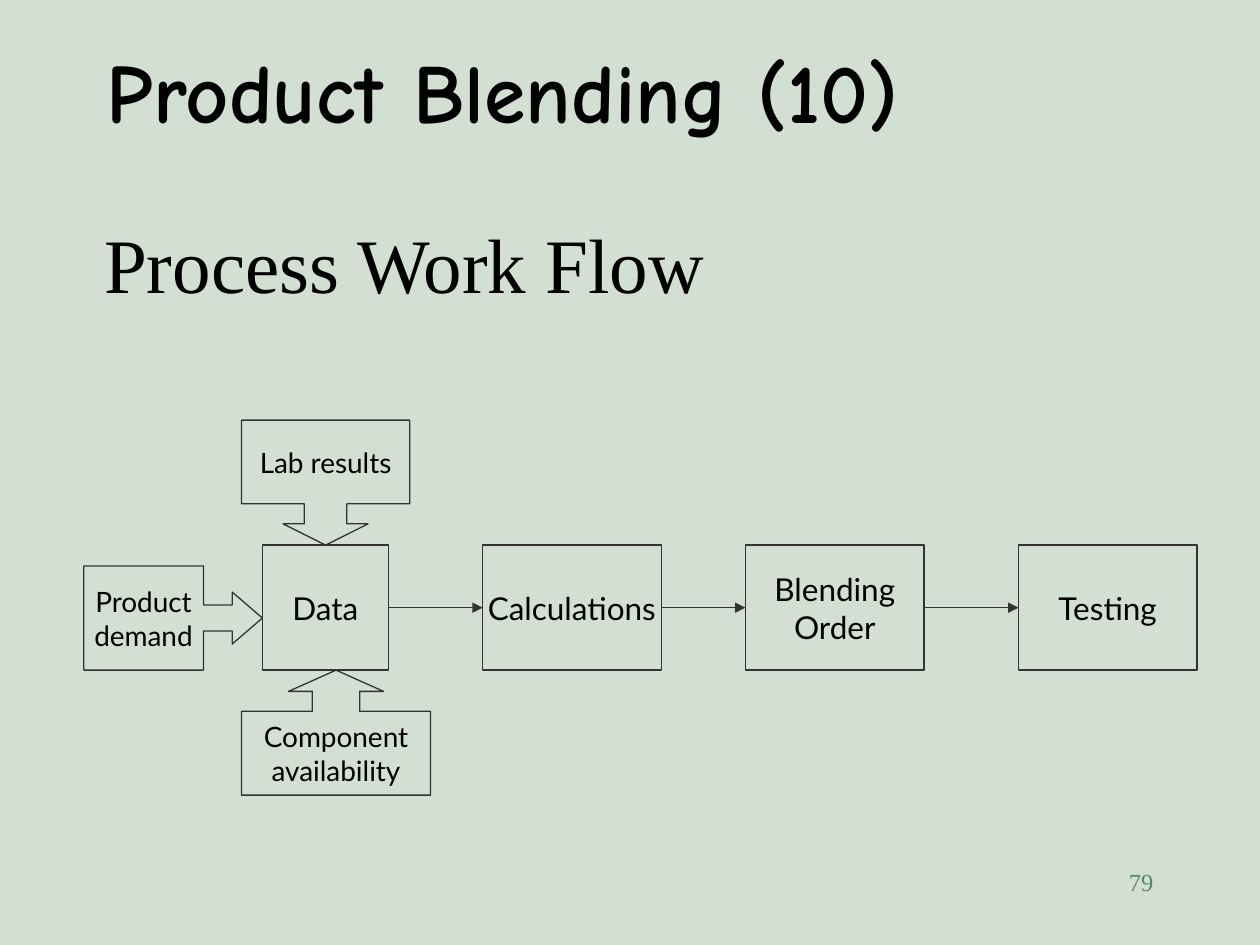
import pptx
import pptx.util
import pptx.dml.color
import pptx.enum.shapes
import pptx.enum.text
import pptx.oxml
import pptx.oxml.ns

Cm = pptx.util.Cm
Pt = pptx.util.Pt
RGB = pptx.dml.color.RGBColor.from_string
KIND = pptx.enum.shapes.MSO_SHAPE
ALIGN = pptx.enum.text.PP_ALIGN
ANCHOR = pptx.enum.text.MSO_ANCHOR
COLORS = {"back": "D3DFD3", "text": "000000", "line": "333333", "page": "578963"}


def write(shape, text, size, font="Lato", color="text", bold=False,
          align=ALIGN.CENTER, anchor=ANCHOR.MIDDLE, wrap=False):
    frame = shape.text_frame
    frame.text = text
    frame.word_wrap = wrap
    frame.vertical_anchor = anchor
    for par in frame.paragraphs:
        par.alignment = align
        par.font.size = Pt(size)
        par.font.name = font
        par.font.bold = bold
        par.font.color.rgb = RGB(COLORS[color])


def draw(kind, left, top, width, height, text, size, adjust=()):
    """Add an outlined, unfilled shape with centred text."""
    shape = slide.shapes.add_shape(kind, Cm(left), Cm(top), Cm(width), Cm(height))
    shape.shadow.inherit = False
    shape.fill.background()
    shape.line.color.rgb = RGB(COLORS["line"])
    shape.line.width = Pt(0.75)
    for i, value in enumerate(adjust):
        shape.adjustments[i] = value
    write(shape, text, size)


deck = pptx.Presentation()
deck.slide_width, deck.slide_height = Cm(25.4), Cm(19.05)
slide = deck.slides.add_slide(deck.slide_layouts[6])
slide.background.fill.solid()
slide.background.fill.fore_color.rgb = RGB(COLORS["back"])

# Headings and page number
title = slide.shapes.add_textbox(Cm(1.9), Cm(0.85), Cm(21.6), Cm(2.1))
write(title, "Product Blending (10)", 48, font="Comic Neue", bold=True,
      align=ALIGN.LEFT, anchor=ANCHOR.BOTTOM, wrap=True)
head = slide.shapes.add_textbox(Cm(1.85), Cm(4.65), Cm(21.65), Cm(1.7))
write(head, "Process Work Flow", 44, font="Times New Roman",
      align=ALIGN.LEFT, anchor=ANCHOR.BOTTOM, wrap=True)
page = slide.shapes.add_textbox(Cm(18.2), Cm(17.35), Cm(5.3), Cm(1.27))
write(page, "79", 14, font="Times New Roman", color="page",
      align=ALIGN.RIGHT, anchor=ANCHOR.TOP, wrap=True)

# Main steps in one row
top, height = 10.99, 2.52
base, mid = top + height, top + height / 2
steps = [
    (5.29, 2.54, "Data"),
    (9.73, 3.6, "Calculations"),
    (15.03, 3.6, "Blending\nOrder"),
    (20.53, 3.6, "Testing"),
]
for left, width, text in steps:
    draw(KIND.RECTANGLE, left, top, width, height, text, 18)

# Arrows from each step to the next
for (left, width, _), (goal, _, _) in zip(steps, steps[1:]):
    arrow = slide.shapes.add_connector(
        pptx.enum.shapes.MSO_CONNECTOR.STRAIGHT,
        Cm(left + width), Cm(mid), Cm(goal), Cm(mid))
    arrow.line.color.rgb = RGB(COLORS["line"])
    arrow.line.width = Pt(0.75)
    tip = pptx.oxml.parse_xml(
        f'<a:tailEnd {pptx.oxml.ns.nsdecls("a")} type="triangle"/>')
    arrow.line._get_or_add_ln().append(tip)
    arrow._element.spPr.append(
        pptx.oxml.parse_xml(f'<a:effectLst {pptx.oxml.ns.nsdecls("a")}/>'))

# Inputs that point at the data step
draw(KIND.DOWN_ARROW_CALLOUT, 4.87, top - height, 3.39, height,
     "Lab results", 16, (0.34, 0.34, 0.17, 0.67))
draw(KIND.UP_ARROW_CALLOUT, 4.87, base, 3.81, height,
     "Component\navailability", 16, (0.38, 0.38, 0.17, 0.67))
draw(KIND.RIGHT_ARROW_CALLOUT, 1.69, base - 2.1, 3.6, 2.1,
     "Product\ndemand", 16, (0.25, 0.25, 0.29, 0.67))

deck.save("out.pptx")
